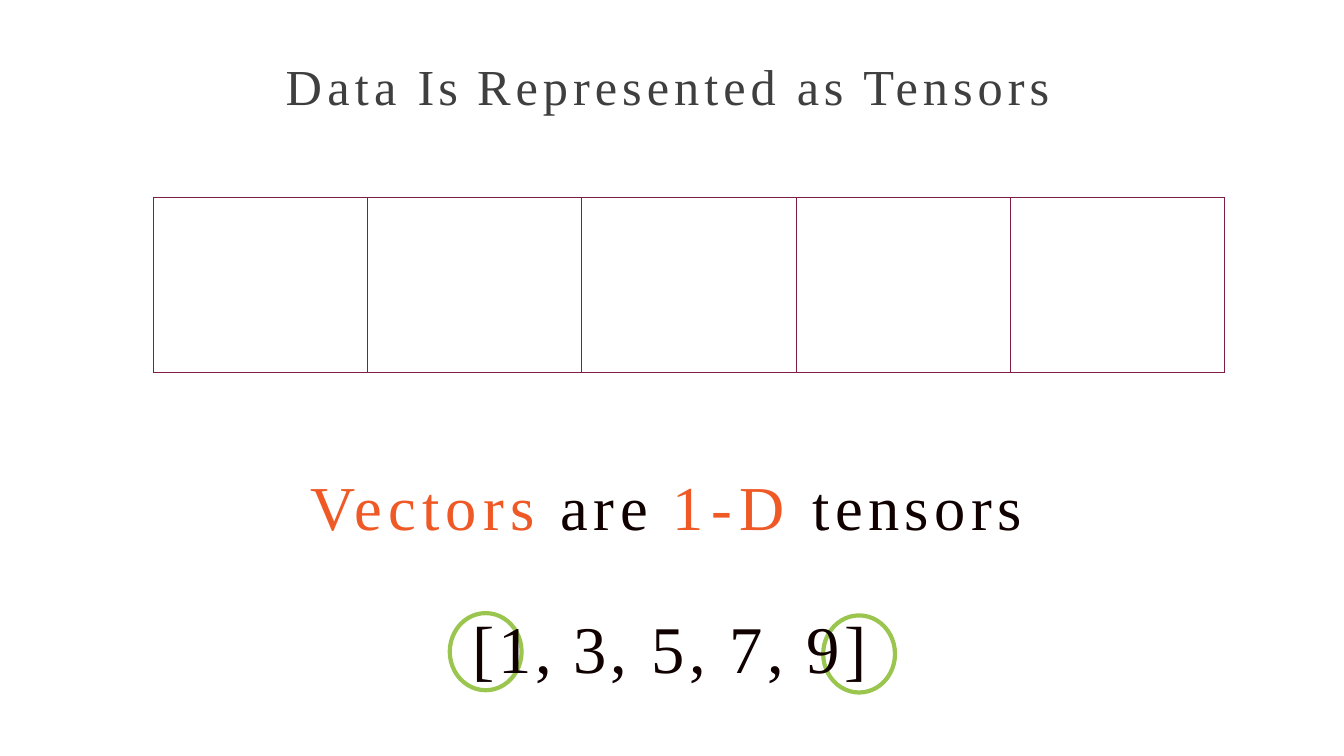
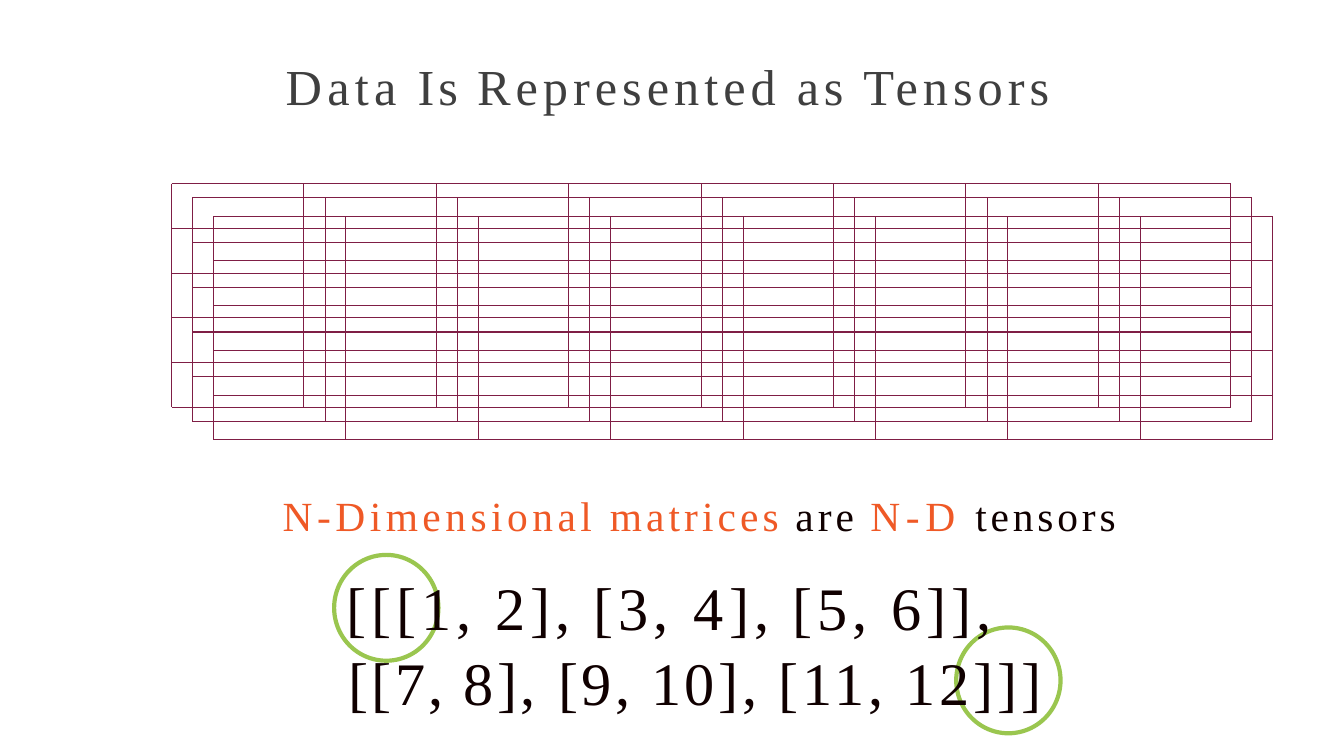
"""Build two slides that show vectors and N-dimensional matrices as tensors."""
import pptx
import pptx.util
import pptx.dml.color
import pptx.enum.shapes
import pptx.enum.text
import pptx.oxml
import pptx.oxml.ns

Inches, Pt = pptx.util.Inches, pptx.util.Pt
RGBColor = pptx.dml.color.RGBColor
MSO_SHAPE = pptx.enum.shapes.MSO_SHAPE
MSO_CONNECTOR = pptx.enum.shapes.MSO_CONNECTOR
PP_ALIGN = pptx.enum.text.PP_ALIGN
qn = pptx.oxml.ns.qn

FONT = "Times New Roman"
GREY = RGBColor(0x3F, 0x3F, 0x3F)
INK = RGBColor(0x10, 0x00, 0x00)
ORANGE = RGBColor(0xEF, 0x59, 0x26)
MAROON = RGBColor(0x7F, 0x1E, 0x45)
GREEN = RGBColor(0x9A, 0xC6, 0x4F)
WHITE = RGBColor(0xFF, 0xFF, 0xFF)

SPACE_TRIM = 2
TITLE_BOX = (3.78, 0.73, 10.25, 0.8)
TITLE = {"size": 48, "lines": [[
    ("Data ", GREY, 5), ("Is ", GREY, 4), ("Represented ", GREY, 4.8),
    ("as ", GREY, 4.4), ("Tensors", GREY, 4.8)]]}

SLIDES = [
    {
        "grids": [(2.03, 2.61, 16.2, 4.93)],
        "cells": (5, 1),
        "circles": [(5.95, 8.11), (10.89, 8.14)],
        "circle_size": (0.95, 1.02),
        "circle_fill": None,
        "box": (3.78, 6.19, 10.25, 2.93),
        "body": [
            {"size": 59.5, "indent": 0.33, "lines": [[
                ("Vectors ", ORANGE, 5.8), ("are ", INK, 5.4),
                ("1-D ", ORANGE, 6.8), ("tensors", INK, 5.3)]]},
            {"size": 63.5, "indent": 2.47, "before": 61, "lines": [[
                ("[1, ", INK, 3.5), ("3, 5, 7, ", INK, 3.7), ("9]", INK, 4.2)]]},
        ],
    },
    {
        "grids": [(2.27, 2.43, 16.28, 5.39), (2.55, 2.61, 16.56, 5.58),
                  (2.82, 2.86, 16.84, 5.82)],
        "cells": (8, 5),
        "circles": [(4.42, 7.34), (12.65, 8.3)],
        "circle_size": (1.38, 1.4),
        "circle_fill": WHITE,
        "box": (3.74, 6.48, 11.4, 2.99),
        "body": [
            {"size": 39.5, "lines": [[
                ("N-Dimensional ", ORANGE, 4.3), ("matrices ", ORANGE, 3.9),
                ("are ", INK, 3.8), ("N-D ", ORANGE, 5.5), ("tensors", INK, 3.7)]]},
            {"size": 57.5, "margin": 0.87, "indent": -0.02, "before": 26,
             "spacing": 1.04, "lines": [
                 [("[[[1, ", INK, 4.7), ("2], ", INK, 4.8), ("[3, 4], ", INK, 4.8),
                  ("[5, ", INK, 4.8), ("6]],", INK, 4.7)],
                 [("[[7, ", INK, 3.2), ("8], [9, ", INK, 3.4), ("10], ", INK, 3.6),
                  ("[11, 12]]]", INK, 3.7)]]},
        ],
    },
]


def apply(obj, values):
    for name, value in values.items():
        setattr(obj, name, value)


def place(sp, box):
    apply(sp, dict(zip(("left", "top", "width", "height"), map(Inches, box))))


def add_line(slide, x1, y1, x2, y2):
    sp = slide.shapes.add_connector(MSO_CONNECTOR.STRAIGHT, *map(Inches, (x1, y1, x2, y2)))
    sp.line.color.rgb = MAROON
    sp.line.width = Pt(1)
    sp._element.spPr.append(pptx.oxml.parse_xml(
        '<a:effectLst xmlns:a="http://schemas.openxmlformats.org/drawingml/2006/main"/>'))


def add_grid(slide, bounds, cells):
    left, top, right, bottom = bounds
    cols, rows = cells
    for i in range(cols + 1):
        x = left + (right - left) * i / cols
        add_line(slide, x, top, x, bottom)
    for i in range(rows + 1):
        y = top + (bottom - top) * i / rows
        add_line(slide, left, y, right, y)


def add_circle(slide, corner, size, fill):
    sp = slide.shapes.add_shape(MSO_SHAPE.OVAL, *map(Inches, corner + size))
    sp.shadow.inherit = False
    if fill is None:
        sp.fill.background()
    else:
        sp.fill.solid()
        sp.fill.fore_color.rgb = fill
    sp.line.color.rgb = GREEN
    sp.line.width = Pt(4)


def add_run(p, text, size, color, gap):
    r = p.add_run()
    r.text = text
    apply(r.font, {"name": FONT, "size": Pt(size)})
    r.font.color.rgb = color
    r._r.get_or_add_rPr().set("spc", str(round(gap * 100)))


def write(sp, box, paragraphs):
    place(sp, box)
    tf = sp.text_frame
    apply(tf, {"word_wrap": True, "auto_size": pptx.enum.text.MSO_AUTO_SIZE.NONE,
               "vertical_anchor": pptx.enum.text.MSO_ANCHOR.TOP,
               "margin_left": 0, "margin_right": 0, "margin_top": 0, "margin_bottom": 0})
    for i, item in enumerate(paragraphs):
        p = tf.add_paragraph() if i else tf.paragraphs[0]
        apply(p, {"alignment": PP_ALIGN.LEFT, "space_before": Pt(item.get("before", 0)),
                  "space_after": Pt(0), "line_spacing": item.get("spacing", 1.0)})
        pPr = p._p.get_or_add_pPr()
        pPr.set("marL", str(Inches(item.get("margin", 0))))
        pPr.set("indent", str(Inches(item.get("indent", 0))))
        pPr.append(pPr.makeelement(qn("a:buNone"), {}))
        for n, line in enumerate(item["lines"]):
            if n:
                p.add_line_break()
            for text, color, gap in line:
                add_run(p, text.rstrip(), item["size"], color, gap)
                if text.endswith(" "):
                    add_run(p, " ", item["size"], color, gap - SPACE_TRIM)
    sp._element.getparent().append(sp._element)


prs = pptx.Presentation()
apply(prs, {"slide_width": Inches(17.78), "slide_height": Inches(10)})
for s in SLIDES:
    slide = prs.slides.add_slide(prs.slide_layouts[1])
    title, body = slide.placeholders
    for bounds in s["grids"]:
        add_grid(slide, bounds, s["cells"])
    for corner in s["circles"]:
        add_circle(slide, corner, s["circle_size"], s["circle_fill"])
    write(title, TITLE_BOX, [TITLE])
    write(body, s["box"], s["body"])
prs.save("out.pptx")
